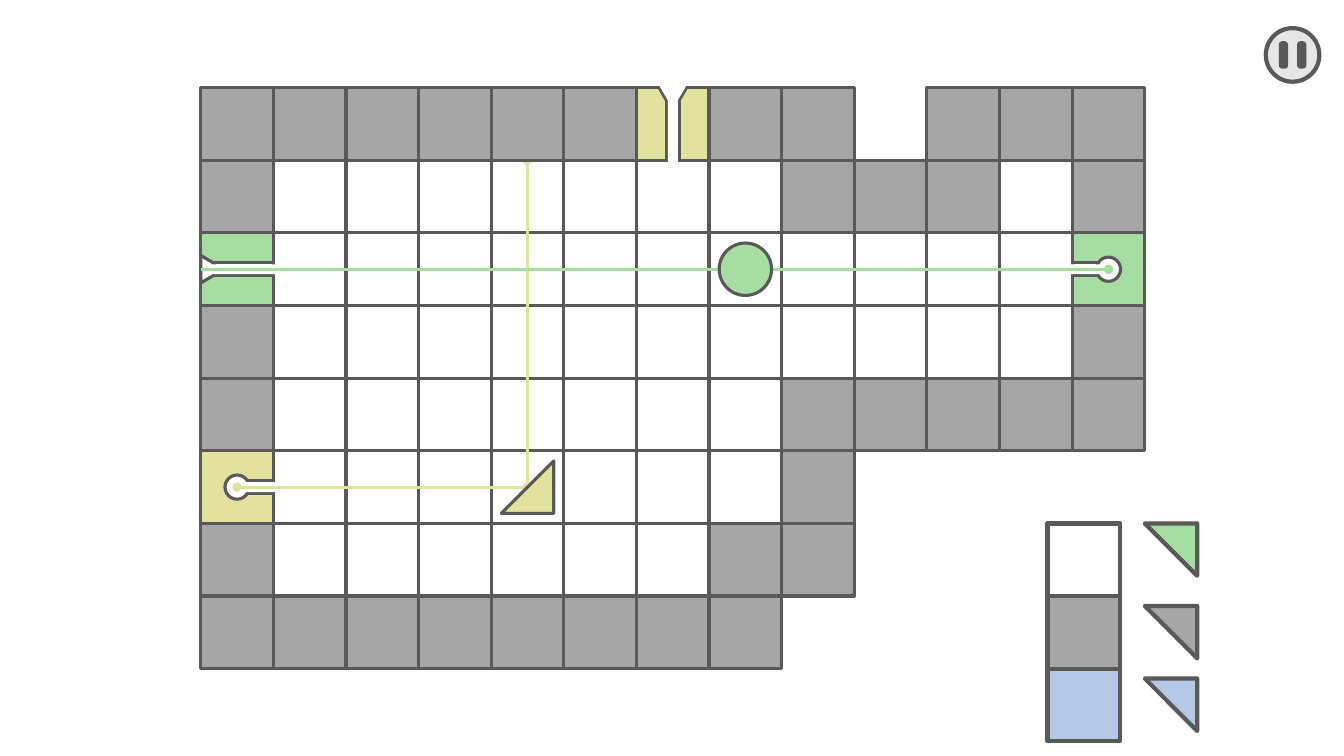
from lxml import etree
from pptx import Presentation
from pptx.dml.color import RGBColor
from pptx.enum.shapes import MSO_CONNECTOR, MSO_SHAPE
from pptx.oxml.ns import qn
from pptx.util import Cm, Pt

RECT = MSO_SHAPE.RECTANGLE
OVAL = MSO_SHAPE.OVAL
ROUND = MSO_SHAPE.ROUNDED_RECTANGLE
WEDGE = MSO_SHAPE.ISOSCELES_TRIANGLE
STRIPE = MSO_SHAPE.DIAGONAL_STRIPE
STRAIGHT = MSO_CONNECTOR.STRAIGHT

INK, WALL, WHITE = "595959", "A6A6A6", "FFFFFF"
GOLD, GREEN, BLUE, PALE = "E2E29E", "A6DEA2", "B4C7E7", "E7E6E6"
CELL = 1.83
PIECE = 1.32
INSET = (CELL - PIECE) / 2
LEVEL = [
    "######.##.###",
    "#ooooooo###o#",
    ".ooooooooooo.",
    "#ooooooooooo#",
    "#ooooooo#####",
    ".ooooooo#....",
    "#oooooo##....",
    "########.....",
]


def color(text):
    return RGBColor.from_string(text)


def draw(kind, left, top, wide, high, fill=None, edge=2.25, turn=0, adj=None):
    item = slide.shapes.add_shape(kind, Cm(left), Cm(top), Cm(wide), Cm(high))
    item.shadow.inherit = False
    if fill:
        item.fill.solid()
        item.fill.fore_color.rgb = color(fill)
    else:
        item.fill.background()
    if edge:
        item.line.color.rgb = color(INK)
        item.line.width = Pt(edge)
    else:
        item.line.fill.background()
    if adj is not None:
        item.adjustments[0] = adj
    item.rotation = turn


def beam(start, end, hue, *ends):
    item = slide.shapes.add_connector(STRAIGHT, *map(Cm, start + end))
    style = {"color.rgb": color(hue), "width": Pt(2.25)}
    for name, value in style.items():
        owner, _, field = name.rpartition(".")
        setattr(item.line.color if owner else item.line, field or name, value)
    line = item.line._get_or_add_ln()
    for end_name in ends:
        etree.SubElement(line, qn(f"a:{end_name}"), type="oval")
    etree.SubElement(item._element.spPr, qn("a:effectLst"))


def keyhole(left, top, hue, flip=False):
    draw(RECT, left, top, CELL, CELL, hue)
    parts = [
        (RECT, 1.12, 0.71, 0.33, 2.25),
        (OVAL, 0.61, 0.61, 0.61, 2.25),
        (RECT, 1.12, 0.76, 0.25, 0),
    ]
    for kind, shift, wide, high, edge in parts:
        side = CELL - shift - wide if flip else shift
        draw(kind, left + side, top + (CELL - high) / 2, wide, high, WHITE, edge)


def gate(left, top, hue, down=False):
    draw(RECT, left, top, CELL, CELL, hue)
    parts = [
        (WEDGE, 0, 0.69, 0.59, 2.25),
        (RECT, 0.34, 0.33, 1.49, 2.25),
        (RECT, 0.2, 0.25, 1.75, 0),
    ]
    if down:
        parts.append((WEDGE, -0.1, 0.74, 0.63, 0))
    for kind, depth, span, size, edge in parts:
        along, mid = depth + size / 2, CELL / 2
        x, y = (mid, along) if down else (along, mid)
        draw(kind, left + x - span / 2, top + y - size / 2, span, size,
             WHITE, edge, 180 if down else 90)


def board(left, top):
    def spot(col, row):
        return left + col * CELL, top + row * CELL

    def mid(col, row):
        return spot(col + 0.5, row + 0.5)

    for mark, fill in (("o", None), ("#", WALL)):
        for row, marks in enumerate(LEVEL):
            for col, sign in enumerate(marks):
                if sign == mark:
                    draw(RECT, *spot(col, row), CELL, CELL, fill)
    keyhole(*spot(0, 5), GOLD)
    gate(*spot(6, 0), GOLD, True)
    keyhole(*spot(12, 2), GREEN, True)
    gate(*spot(0, 2), GREEN)
    beam(mid(0, 5), mid(4, 5), GOLD, "headEnd", "tailEnd")
    beam(mid(4, 5), spot(4.5, 1), GOLD, "headEnd", "tailEnd")
    beam(mid(12, 2), spot(0, 2.5), GREEN, "headEnd")
    for kind, col, row, hue, turn, adj in (
        (OVAL, 7, 2, GREEN, 0, None),
        (STRIPE, 4, 5, GOLD, 180, 0),
    ):
        x, y = spot(col, row)
        draw(kind, x + INSET, y + INSET, PIECE, PIECE, hue, turn=turn, adj=adj)
    draw(RECT, *spot(4, 0), CELL, CELL, WALL)


def legend(left, top):
    rows = [(None, GREEN, 0), (WALL, WALL, 2.08), (BLUE, BLUE, 3.91)]
    for row, (tile, prism, drop) in enumerate(rows):
        draw(RECT, left, top + row * CELL, CELL, CELL, tile, 3)
        draw(STRIPE, left + 2.45, top + drop, PIECE, PIECE, prism, 3, 90, 0)


def pause(left, top, size):
    draw(OVAL, left, top, size, size, PALE, 3)
    wide, high = 0.23, 0.69
    for side in (-0.23, 0.23):
        draw(ROUND, left + (size - wide) / 2 + side, top + (size - high) / 2,
             wide, high, INK, 0, adj=0.36)


deck = Presentation()
deck.slide_width, deck.slide_height = Cm(33.87), Cm(19.05)
slide = deck.slides.add_slide(deck.slide_layouts[6])
board(5.06, 2.21)
legend(26.4, 13.19)
pause(31.9, 0.71, 1.35)
deck.save("out.pptx")
